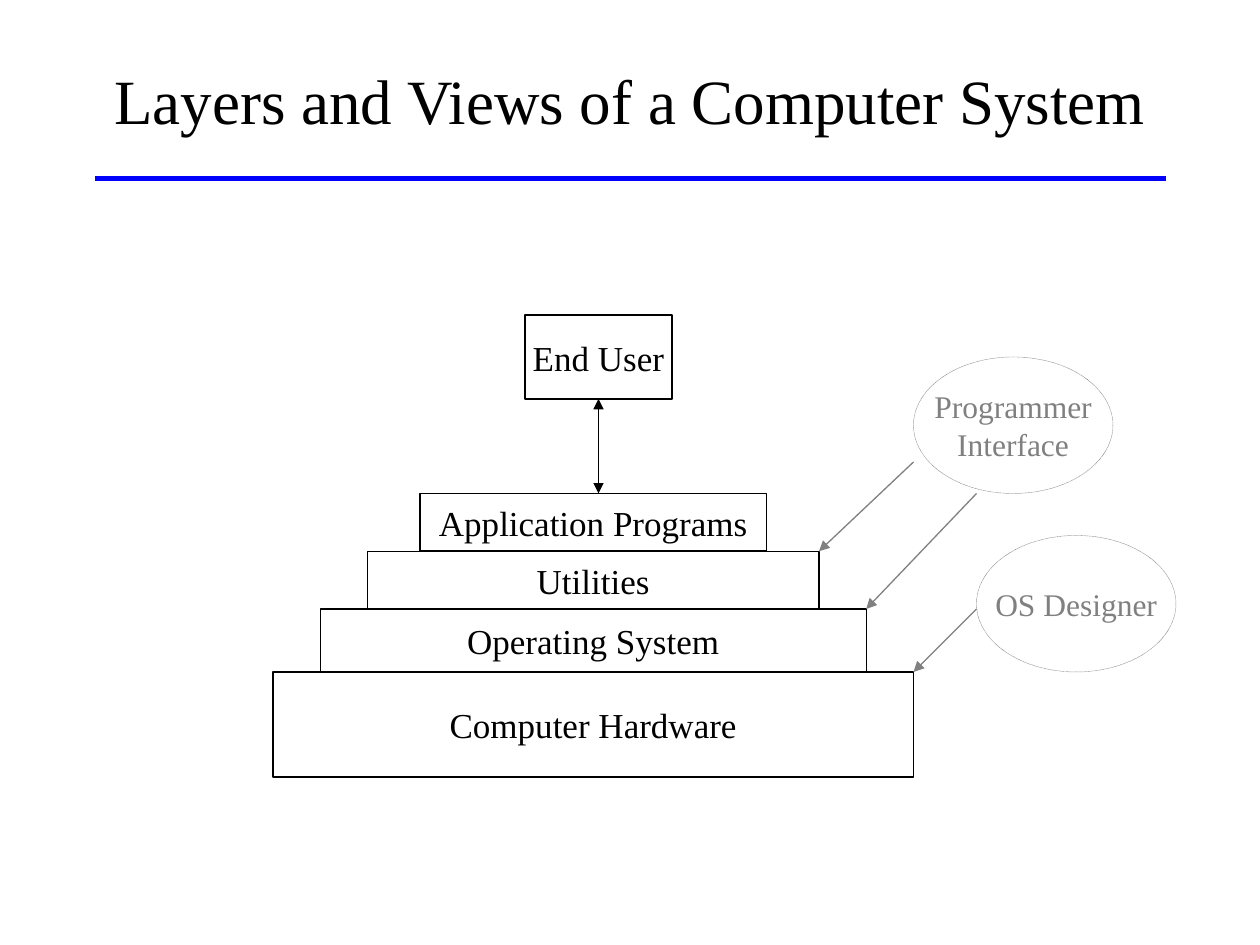
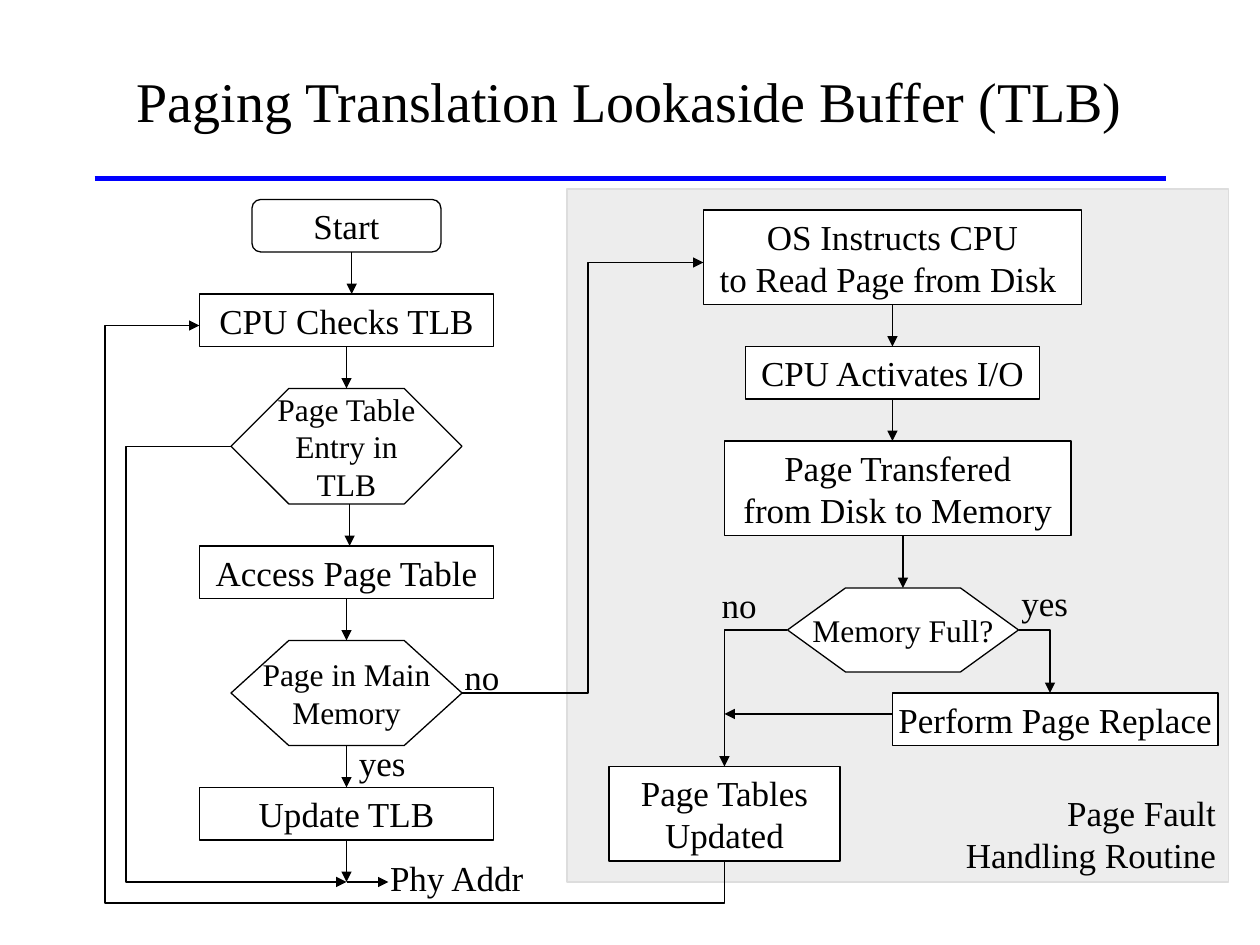
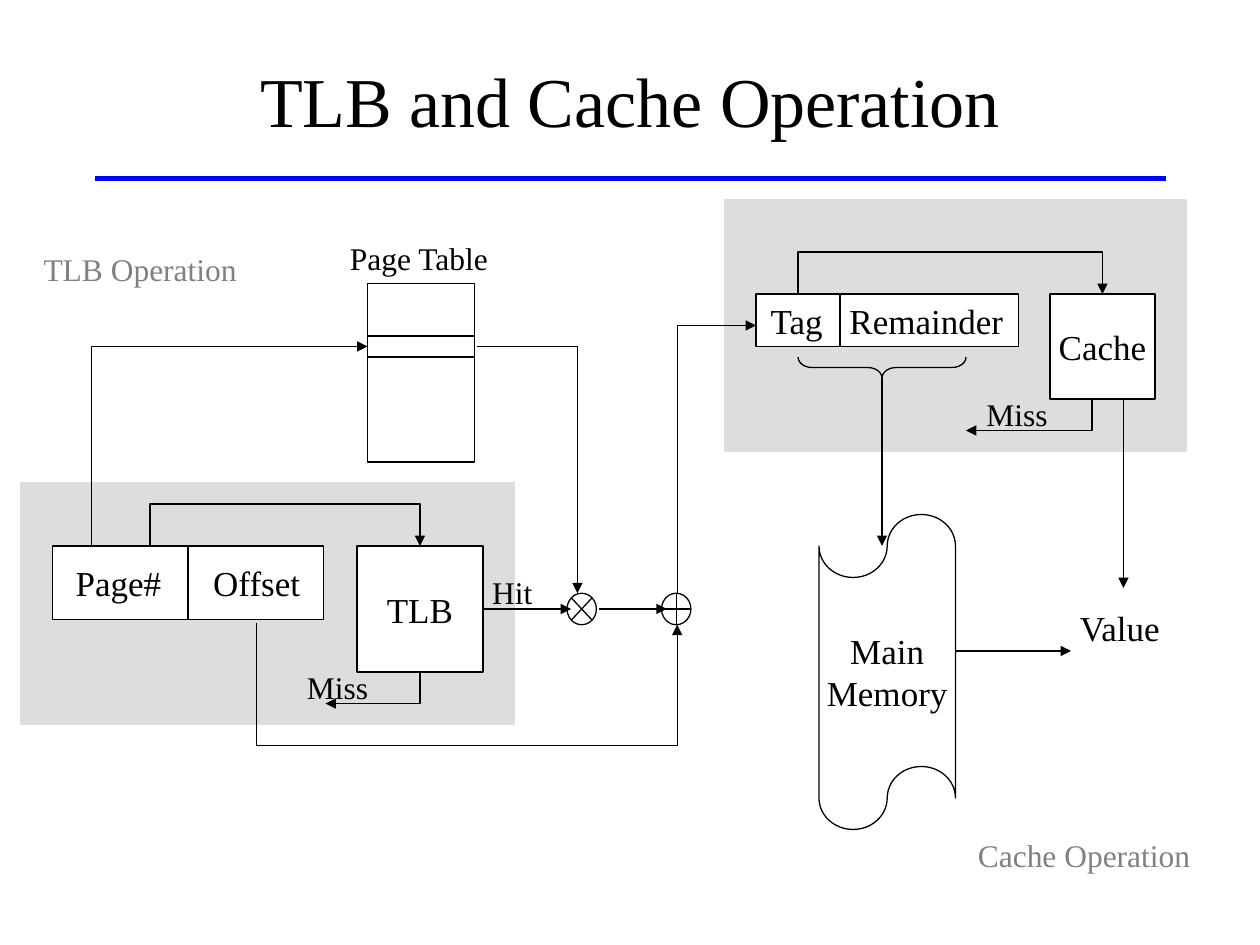
from dataclasses import dataclass
from typing import Optional

from lxml.etree import SubElement
from pptx import Presentation
from pptx.dml.color import RGBColor
from pptx.enum.dml import MSO_LINE
from pptx.enum.shapes import MSO_CONNECTOR, MSO_SHAPE as Kind
from pptx.enum.text import MSO_ANCHOR as Anchor, MSO_AUTO_SIZE, PP_ALIGN as Align
from pptx.oxml.ns import qn
from pptx.util import Pt

PX = 7620  # 120 px to the inch
FONT = "Times New Roman"
BLACK = RGBColor(0x00, 0x00, 0x00)
WHITE = RGBColor(0xFF, 0xFF, 0xFF)
GRAY = RGBColor(0x80, 0x80, 0x80)
PALE = RGBColor(0xDD, 0xDD, 0xDD)
BLUE = RGBColor(0x00, 0x00, 0xFF)

Point = tuple[int, int]


@dataclass(frozen=True)
class Box:
    text: str
    left: int
    top: int
    width: int
    height: int
    kind: Kind = Kind.RECTANGLE
    size: int = 20
    fill: Optional[RGBColor] = None
    ink: RGBColor = BLACK
    edge: RGBColor = BLACK
    weight: float = 0.75
    dash: Optional[MSO_LINE] = None
    adjust: Optional[float] = None
    rotation: int = 0
    opacity: int = 100
    anchor: Anchor = Anchor.MIDDLE
    align: Align = Align.CENTER
    wrap: bool = False
    inset: int = 12
    tab: int = 0

    def sides(self) -> list[Point]:
        """Middles of the sides, in the order of the connection sites."""
        middle_x = self.left + self.width / 2
        middle_y = self.top + self.height / 2
        return [(middle_x, self.top), (self.left, middle_y),
                (middle_x, self.top + self.height), (self.left + self.width, middle_y)]


@dataclass(frozen=True)
class Link:
    points: tuple[Point, ...]
    ink: RGBColor = BLACK
    weight: float = 0.75
    head: bool = False
    tail: bool = True


@dataclass(frozen=True)
class Label:
    text: str
    left: int
    top: int
    width: int
    size: int = 18
    ink: RGBColor = BLACK


@dataclass(frozen=True)
class Page:
    title: str
    title_size: int
    boxes: list[Box]
    links: list[Link]
    labels: list[Label]


def path(*points: Point) -> Link:
    return Link(points)


def down(x: int, top: int, bottom: int) -> Link:
    return path((x, top), (x, bottom))


def divider(start: Point, end: Point) -> Link:
    return Link((start, end), tail=False)


def process(text: str, left: int, top: int, width: int, height: int = 50,
            fill: Optional[RGBColor] = None) -> Box:
    return Box(text, left, top, width, height, Kind.FLOWCHART_PROCESS, fill=fill)


def decision(text: str, left: int, top: int, height: int, adjust: float,
             fill: Optional[RGBColor] = None) -> Box:
    return Box(text, left, top, 220, height, Kind.HEXAGON, 18, fill, adjust=adjust)


def view(text: str, left: int, top: int) -> Box:
    return Box(text, left, top, 190, 130, Kind.OVAL, 18, ink=GRAY, edge=GRAY,
               weight=0.25, dash=MSO_LINE.ROUND_DOT)


def region(left: int, top: int, width: int, height: int) -> Box:
    return Box("", left, top, width, height, fill=PALE, edge=PALE)


def address(text: str, left: int, top: int, width: int, height: int,
            inset: int, tab: int) -> Box:
    """An address of two fields, the second starting at the tab stop."""
    return Box(text, left, top, width, height, fill=WHITE, align=Align.LEFT,
               wrap=True, inset=inset, tab=tab)


def write(shape, text: str, size: int, ink: RGBColor,
          align: Align = Align.CENTER) -> None:
    frame = shape.text_frame
    for index, line in enumerate(text.split("\n")):
        para = frame.add_paragraph() if index else frame.paragraphs[0]
        para.text = line
        para.alignment = align
        para.font.name = FONT
        para.font.size = Pt(size)
        para.font.color.rgb = ink


def set_tab(shape, position: int) -> None:
    properties = shape.element.txBody.find(qn("a:p")).find(qn("a:pPr"))
    stops = SubElement(properties, qn("a:tabLst"))
    SubElement(stops, qn("a:tab"), pos=str(position * PX), algn="l")
    properties.insert(0, stops)


def draw_box(slide, box: Box):
    shape = slide.shapes.add_shape(
        box.kind, box.left * PX, box.top * PX, box.width * PX, box.height * PX)
    shape.shadow.inherit = False
    shape.rotation = box.rotation
    if box.adjust is not None:
        shape.adjustments[0] = box.adjust
    if box.fill is None:
        shape.fill.background()
    else:
        shape.fill.solid()
        shape.fill.fore_color.rgb = box.fill
        if box.opacity < 100:
            color = shape.element.spPr.find(qn("a:solidFill")).find(qn("a:srgbClr"))
            SubElement(color, qn("a:alpha"), val=str(box.opacity * 1000))
    shape.line.color.rgb = box.edge
    shape.line.width = Pt(box.weight)
    if box.dash is not None:
        shape.line.dash_style = box.dash
    if box.text:
        shape.text_frame.word_wrap = box.wrap
        shape.text_frame.vertical_anchor = box.anchor
        shape.text_frame.margin_left = box.inset * PX
        write(shape, box.text, box.size, box.ink, box.align)
        if box.tab:
            set_tab(shape, box.tab)
    return shape


def draw_link(slide, link: Link, drawn: list) -> None:
    """Draw a straight connector, or an open outline if the link has bends."""
    start, *bends, end = link.points
    if bends:
        builder = slide.shapes.build_freeform(*start, scale=PX)
        builder.add_line_segments([*bends, end], close=False)
        line = builder.convert_to_shape()
        line.fill.background()
        line.shadow.inherit = False
    else:
        line = slide.shapes.add_connector(
            MSO_CONNECTOR.STRAIGHT, *(value * PX for value in start + end))
        SubElement(line.element.spPr, qn("a:effectLst"))
        for box, shape in drawn:
            if box.kind not in (Kind.RECTANGLE, Kind.FLOWCHART_PROCESS):
                continue
            for site, side in enumerate(box.sides()):
                if side == start:
                    line.begin_connect(shape, site)
                elif side == end:
                    line.end_connect(shape, site)
    line.line.color.rgb = link.ink
    line.line.width = Pt(link.weight)
    outline = line.element.spPr.find(qn("a:ln"))
    for tag, wanted in (("a:headEnd", link.head), ("a:tailEnd", link.tail)):
        if wanted:
            SubElement(outline, qn(tag), type="triangle")


def draw_label(slide, label: Label) -> None:
    height = 52 if label.size == 20 else 48
    area = slide.shapes.add_textbox(
        label.left * PX, label.top * PX, label.width * PX, height * PX)
    area.text_frame.word_wrap = False
    area.text_frame.auto_size = MSO_AUTO_SIZE.SHAPE_TO_FIT_TEXT
    write(area, label.text, label.size, label.ink)


def draw_title(slide, text: str, size: int) -> None:
    rule = Link(((90, 170), (1110, 170)), BLUE, 3, tail=False)
    draw_link(slide, rule, [])
    title = slide.shapes.add_textbox(90 * PX, 20 * PX, 1020 * PX, 150 * PX)
    title.text_frame.word_wrap = True
    title.text_frame.vertical_anchor = Anchor.MIDDLE
    write(title, text, size, BLACK)


def draw_page(deck, page: Page) -> None:
    slide = deck.slides.add_slide(deck.slide_layouts[6])
    draw_title(slide, page.title, page.title_size)
    drawn = [(box, draw_box(slide, box)) for box in page.boxes]
    for link in page.links:
        draw_link(slide, link, drawn)
    for label in page.labels:
        draw_label(slide, label)


LAYERS = Page(
    "Layers and Views of a Computer System", 36,
    boxes=[
        Box("Computer Hardware", 260, 640, 610, 100),
        Box("Operating System", 305, 580, 520, 60),
        Box("Utilities", 350, 525, 430, 55),
        Box("Application Programs", 400, 470, 330, 55),
        Box("End User", 500, 300, 140, 80),
        view("Programmer\nInterface", 870, 340),
        view("OS Designer", 930, 510),
    ],
    links=[
        Link(((570, 380), (570, 470)), head=True),
        Link(((870, 440), (780, 525)), GRAY),
        Link(((930, 470), (825, 580)), GRAY),
        Link(((930, 580), (870, 640)), GRAY),
    ],
    labels=[],
)

PAGING = Page(
    "Paging Translation Lookaside Buffer (TLB)", 32,
    boxes=[
        Box("Page Fault\nHandling Routine", 540, 180, 630, 660, fill=PALE, edge=PALE,
            opacity=50, anchor=Anchor.BOTTOM, align=Align.RIGHT, wrap=True),
        Box("Start", 240, 190, 180, 50, Kind.FLOWCHART_ALTERNATE_PROCESS),
        process("CPU Checks TLB", 190, 280, 280),
        decision("Page Table\nEntry in\nTLB", 220, 370, 110, 0.5),
        process("Access Page Table", 190, 520, 280),
        decision("Page in Main\nMemory", 220, 610, 100, 0.55),
        process("Update TLB", 190, 750, 280),
        process("OS Instructs CPU\nto Read Page from Disk ", 670, 200, 360, 90, WHITE),
        process("CPU Activates I/O", 710, 330, 280, fill=WHITE),
        process("Page Transfered\nfrom Disk to Memory", 690, 420, 330, 90, WHITE),
        decision("Memory Full?", 750, 560, 80, 0.69, WHITE),
        process("Perform Page Replace", 850, 660, 310, fill=WHITE),
        process("Page Tables\nUpdated", 580, 730, 220, 90, WHITE),
    ],
    links=[
        down(335, 240, 280),
        down(330, 330, 370),
        down(333, 480, 520),
        down(330, 570, 610),
        down(330, 710, 750),
        down(330, 800, 840),
        path((330, 840), (370, 840)),
        path((220, 425), (120, 425), (120, 840), (330, 840)),
        down(850, 290, 330),
        down(850, 380, 420),
        down(860, 510, 560),
        path((970, 600), (1000, 600), (1000, 660)),
        path((750, 600), (690, 600), (690, 730)),
        path((850, 680), (690, 680)),
        path((440, 660), (560, 660), (560, 250), (670, 250)),
        path((690, 820), (690, 860), (100, 860), (100, 310), (190, 310)),
    ],
    labels=[
        Label("yes", 960, 548, 70, 20),
        Label("no", 675, 550, 58, 20),
        Label("no", 430, 618, 58, 20),
        Label("yes", 329, 700, 70, 20),
        Label("Phy Addr", 359, 810, 152, 20),
    ],
)

CACHE = Page(
    "TLB and Cache Operation", 40,
    boxes=[
        region(690, 190, 440, 240),
        region(20, 460, 470, 230),
        address("Page#\tOffset", 50, 520, 258, 70, inset=22, tab=131),
        Box("TLB", 340, 520, 120, 120, fill=WHITE),
        Box("", 350, 270, 102, 170),
        Box("", 540, 565, 28, 30, Kind.FLOWCHART_SUMMING_JUNCTION),
        Box("", 630, 565, 28, 30, Kind.FLOWCHART_OR),
        address("Tag\tRemainder", 720, 280, 250, 50, inset=14, tab=75),
        Box("Cache", 1000, 280, 100, 100, fill=WHITE),
        Box("", 830, 270, 20, 160, Kind.LEFT_BRACE, adjust=0.67, rotation=270),
        Box("Main\nMemory", 780, 490, 130, 300, Kind.FLOWCHART_PUNCHED_TAPE, fill=WHITE),
    ],
    links=[
        divider((179, 520), (179, 590)),
        divider((800, 280), (800, 330)),
        divider((350, 320), (452, 320)),
        divider((350, 340), (452, 340)),
        path((143, 520), (143, 480), (400, 480), (400, 520)),
        path((87, 520), (87, 330), (350, 330)),
        path((244, 593), (244, 710), (645, 710), (645, 595)),
        path((460, 580), (544, 580)),
        path((454, 330), (550, 330), (550, 565)),
        path((570, 580), (635, 580)),
        path((400, 640), (400, 670), (310, 670)),
        path((645, 565), (645, 310), (720, 310)),
        path((760, 280), (760, 240), (1050, 240), (1050, 280)),
        path((1040, 380), (1040, 410), (920, 410)),
        down(840, 360, 520),
        down(1070, 380, 560),
        path((910, 620), (1020, 620)),
    ],
    labels=[
        Label("Miss", 280, 630, 83),
        Label("Page Table", 320, 222, 158),
        Label("Hit", 457, 540, 62),
        Label("Miss", 927, 370, 83),
        Label("Value", 1015, 572, 103, 20),
        Label("TLB Operation", 29, 232, 209, ink=GRAY),
        Label("Cache Operation", 919, 790, 227, ink=GRAY),
    ],
)


def main() -> None:
    deck = Presentation()
    deck.slide_width = 1200 * PX
    deck.slide_height = 900 * PX
    for page in (LAYERS, PAGING, CACHE):
        draw_page(deck, page)
    deck.save("out.pptx")


if __name__ == "__main__":
    main()
